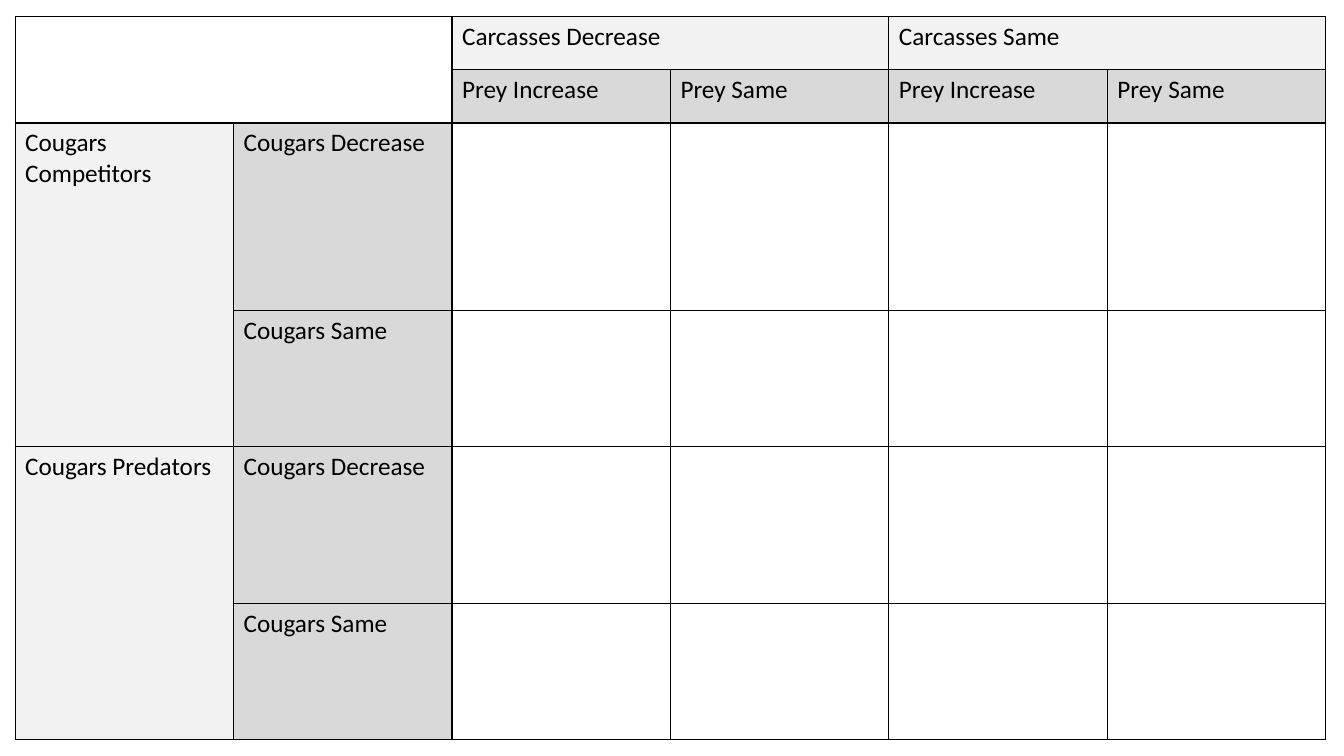
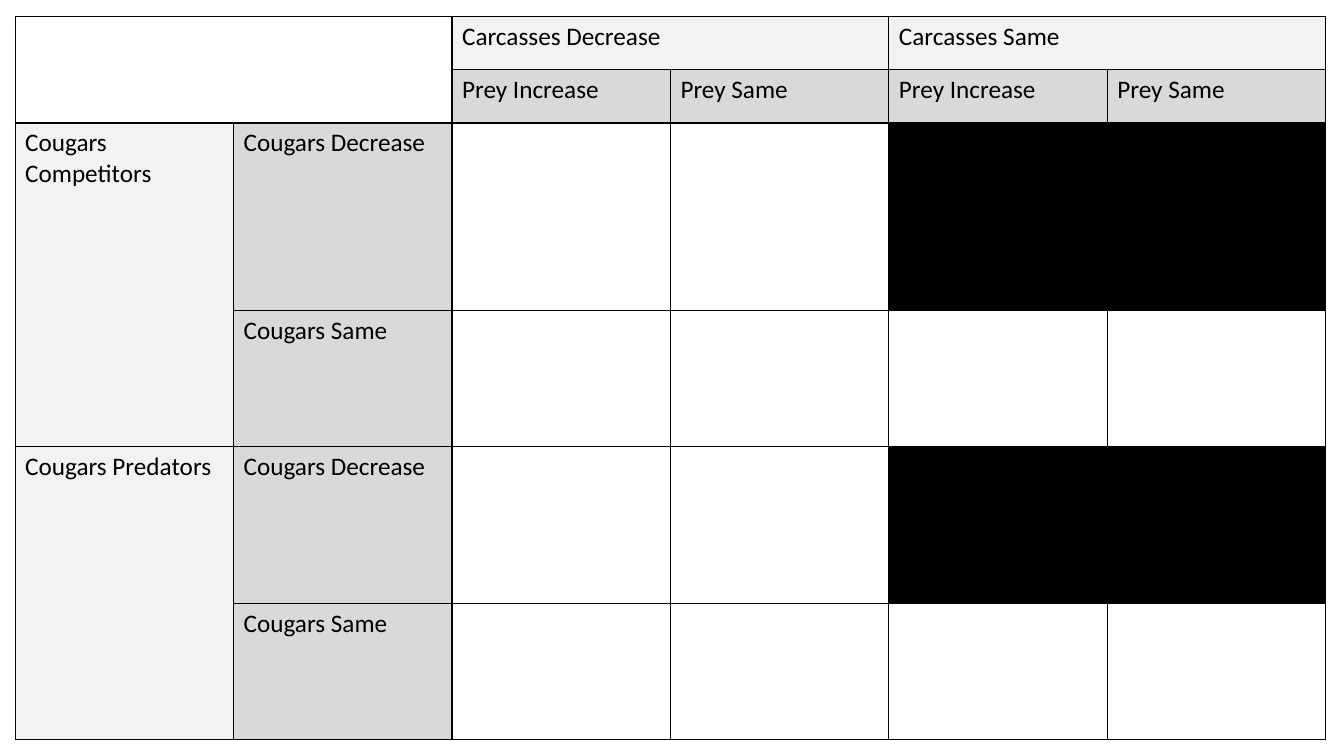
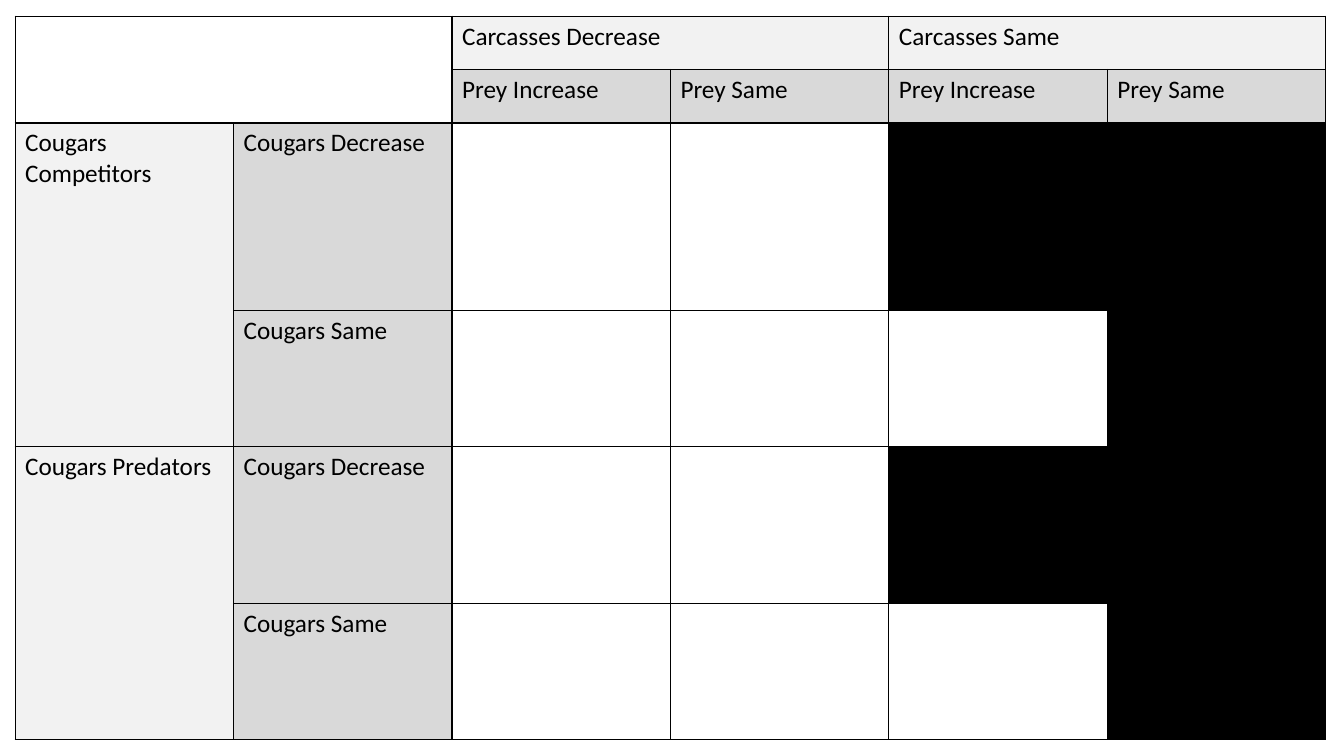
"""Build three cougar prediction grids, ruling out more outcomes on each slide."""

from dataclasses import dataclass

import lxml.etree
import pptx
import pptx.dml.color
import pptx.oxml.ns
import pptx.presentation
import pptx.table
import pptx.util

Inches = pptx.util.Inches

BLACK = "000000"
LIGHT_GRAY = "F2F2F2"
MID_GRAY = "D9D9D9"
FONT_NAME = "Calibri"
FONT_SIZE = 18
BORDER_WIDTH = 1
TABLE_LEFT, TABLE_TOP, TABLE_WIDTH = 0.15, 0.16, 13
ROW_HEIGHTS = (0.53, 0.53, 1.86, 1.35, 1.56, 1.35)
COLUMN_COUNT = 6


@dataclass(frozen=True)
class Heading:
    """A heading cell with its place, fill and span."""

    row: int
    column: int
    text: str
    fill: str = MID_GRAY
    row_span: int = 1
    column_span: int = 1


HEADINGS = (
    Heading(0, 2, "Carcasses Decrease", LIGHT_GRAY, column_span=2),
    Heading(0, 4, "Carcasses Same", LIGHT_GRAY, column_span=2),
    *(Heading(1, column, ("Prey Increase", "Prey Same")[column % 2])
      for column in range(2, COLUMN_COUNT)),
    Heading(2, 0, "Cougars Competitors", LIGHT_GRAY, row_span=2),
    Heading(4, 0, "Cougars Predators", LIGHT_GRAY, row_span=2),
    *(Heading(row, 1, ("Cougars Decrease", "Cougars Same")[row % 2])
      for row in range(2, len(ROW_HEIGHTS))),
)

COUGARS_DECREASE = frozenset({(2, 4), (2, 5), (4, 4), (4, 5)})
NOTHING_CHANGES = frozenset({(3, 5), (5, 5)})
RULED_OUT_BY_SLIDE = (
    frozenset(),
    COUGARS_DECREASE,
    COUGARS_DECREASE | NOTHING_CHANGES,
)


def rgb(color: str) -> pptx.dml.color.RGBColor:
    """Turn a hex string into a colour."""
    return pptx.dml.color.RGBColor.from_string(color)


def fill_cell(cell: pptx.table._Cell, color: str) -> None:
    """Fill a cell with one colour."""
    cell.fill.solid()
    cell.fill.fore_color.rgb = rgb(color)


def add_borders(cell: pptx.table._Cell) -> None:
    """Draw a black line on all four sides of a cell."""
    qualify = pptx.oxml.ns.qn
    properties = cell._tc.get_or_add_tcPr()
    for side in ("a:lnL", "a:lnR", "a:lnT", "a:lnB"):
        line = lxml.etree.SubElement(
            properties, qualify(side), w=str(pptx.util.Pt(BORDER_WIDTH)))
        solid = lxml.etree.SubElement(line, qualify("a:solidFill"))
        lxml.etree.SubElement(solid, qualify("a:srgbClr"), val=BLACK)


def add_heading(table: pptx.table.Table, heading: Heading) -> None:
    """Write a heading into its cell and merge the cells it spans."""
    cell = table.cell(heading.row, heading.column)
    if heading.row_span > 1 or heading.column_span > 1:
        cell.merge(table.cell(heading.row + heading.row_span - 1,
                              heading.column + heading.column_span - 1))
    fill_cell(cell, heading.fill)
    cell.text = heading.text
    font = cell.text_frame.paragraphs[0].font
    font.name = FONT_NAME
    font.size = pptx.util.Pt(FONT_SIZE)
    font.color.rgb = rgb(BLACK)


def add_grid_slide(presentation: pptx.presentation.Presentation,
                   ruled_out: frozenset[tuple[int, int]]) -> None:
    """Add a slide with the grid and black out the ruled-out cells."""
    slide = presentation.slides.add_slide(presentation.slide_layouts[6])
    table = slide.shapes.add_table(
        len(ROW_HEIGHTS), COLUMN_COUNT, Inches(TABLE_LEFT), Inches(TABLE_TOP),
        Inches(TABLE_WIDTH), Inches(sum(ROW_HEIGHTS))).table
    table.first_row = False
    table.horz_banding = False
    for row, height in zip(table.rows, ROW_HEIGHTS):
        row.height = Inches(height)
    for cell in table.iter_cells():
        add_borders(cell)
        cell.fill.background()
    table.cell(0, 0).merge(table.cell(1, 1))
    for heading in HEADINGS:
        add_heading(table, heading)
    for row_index, column_index in ruled_out:
        fill_cell(table.cell(row_index, column_index), BLACK)


def main() -> None:
    """Build and save the presentation."""
    presentation = pptx.Presentation()
    presentation.slide_width = Inches(13.33)
    presentation.slide_height = Inches(7.5)
    for ruled_out in RULED_OUT_BY_SLIDE:
        add_grid_slide(presentation, ruled_out)
    presentation.save("out.pptx")


if __name__ == "__main__":
    main()
